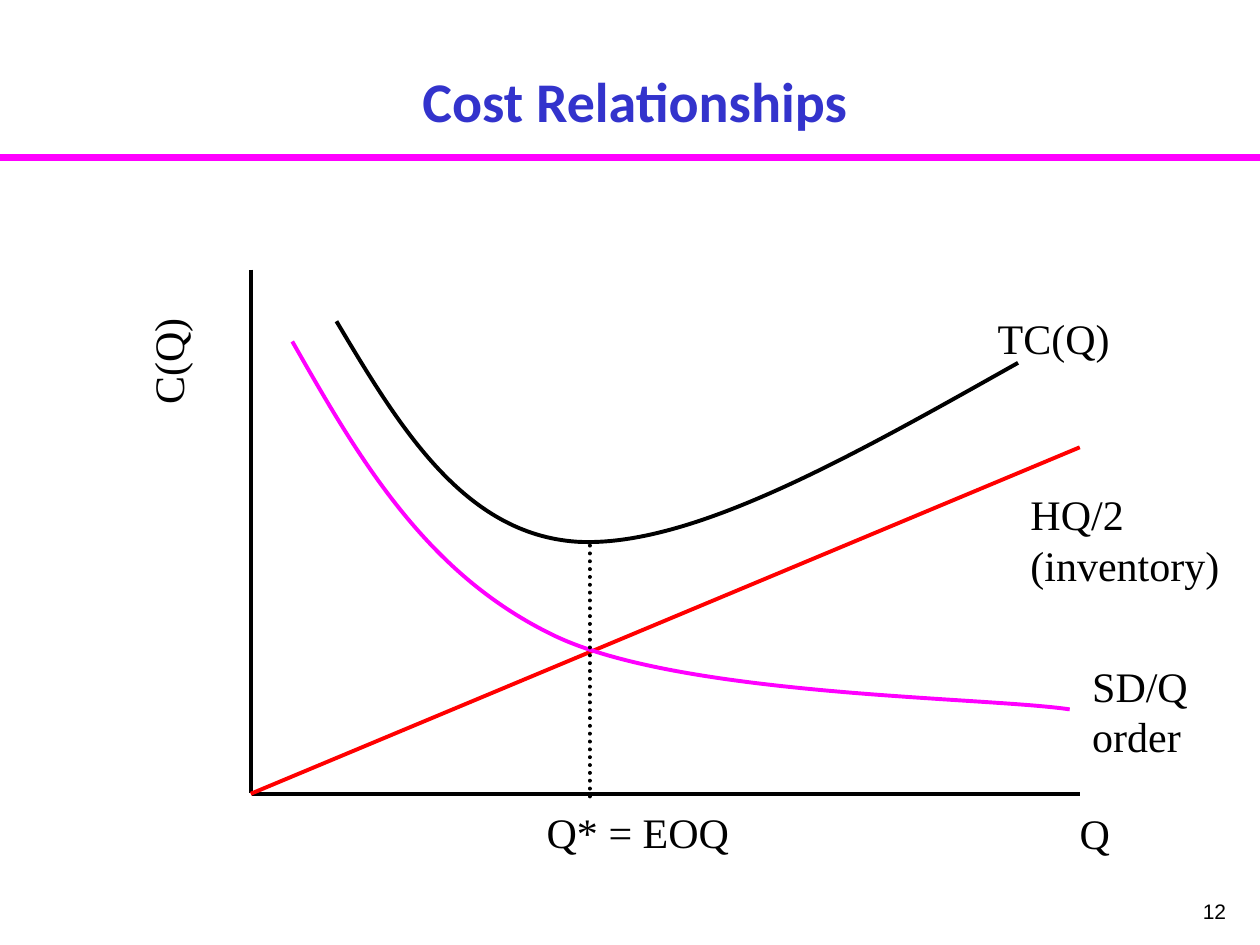
from lxml import etree
from pptx import Presentation
from pptx.dml.color import RGBColor
from pptx.enum.dml import MSO_LINE
from pptx.enum.shapes import MSO_CONNECTOR
from pptx.enum.text import MSO_ANCHOR, MSO_AUTO_SIZE, PP_ALIGN
from pptx.oxml.ns import qn
from pptx.util import Pt

PX = 9144
STRAIGHT = MSO_CONNECTOR.STRAIGHT
DOTTED = MSO_LINE.ROUND_DOT
FIT_SHAPE, FIXED = MSO_AUTO_SIZE.SHAPE_TO_FIT_TEXT, MSO_AUTO_SIZE.NONE
LEFT, CENTER, RIGHT = PP_ALIGN.LEFT, PP_ALIGN.CENTER, PP_ALIGN.RIGHT
TOP, MIDDLE = MSO_ANCHOR.TOP, MSO_ANCHOR.MIDDLE

COLORS = {
    "ink": "000000",
    "title": "3333CC",
    "order": "FF00FF",
    "inventory": "FF0000",
}
LABEL = {"name": "Times New Roman", "size": Pt(24), "bold": False}
TITLE = {"name": "Calibri", "size": Pt(32), "bold": True}
NUMBER = {"name": "Arial", "size": Pt(12), "bold": False}

ORDER_CURVE = [(232, 271), (285, 364), (338, 456), (441, 505),
               (543, 553), (781, 553), (849, 563)]
TOTAL_CURVE = [(267, 255), (317, 339), (368, 424), (458, 430),
               (549, 435), (678, 361), (808, 288)]


def color(name):
    return RGBColor.from_string(COLORS[name])


def style_line(line, name, width):
    line.color.rgb = color(name)
    line.width = Pt(width)


def add_line(s, start, end, name="ink", width=2.25, dotted=False):
    ends = [v * PX for v in (*start, *end)]
    c = s.shapes.add_connector(STRAIGHT, *ends)
    style_line(c.line, name, width)
    if dotted:
        c.line.dash_style = DOTTED
        c._element.spPr.find(qn("a:ln")).set("cap", "rnd")
    etree.SubElement(c._element.spPr, qn("a:effectLst"))


def add_curve(s, points, name):
    fb = s.shapes.build_freeform(*points[0], scale=PX)
    fb.add_line_segments(points[1:], close=False)
    sp = fb.convert_to_shape()
    outline = sp._element.spPr.find(".//" + qn("a:path"))
    steps = outline.findall(qn("a:lnTo"))
    for i in range(0, len(steps), 3):
        bezier = etree.SubElement(outline, qn("a:cubicBezTo"))
        for step in steps[i:i + 3]:
            bezier.append(step[0])
            outline.remove(step)
    sp.shadow.inherit = False
    sp.fill.background()
    style_line(sp.line, name, 2.25)


def add_text(s, box, lines, font=LABEL, name="ink", align=LEFT, anchor=TOP,
             wrap=False, spacing=None, rotation=0):
    sp = s.shapes.add_textbox(*(v * PX for v in box))
    sp.rotation = rotation
    tf = sp.text_frame
    tf.word_wrap = wrap
    tf.auto_size = FIXED if wrap else FIT_SHAPE
    tf.vertical_anchor = anchor
    for i, text in enumerate(lines):
        p = tf.add_paragraph() if i else tf.paragraphs[0]
        p.alignment = align
        if spacing:
            p.line_spacing = spacing
        r = p.add_run()
        r.text = text
        for attr, value in font.items():
            setattr(r.font, attr, value)
        r.font.color.rgb = color(name)


def add_heading(s):
    add_line(s, (0, 125), (1000, 125), "order", 4)
    add_text(s, (775, 708, 208, 42), ["12"], NUMBER, align=RIGHT, wrap=True)
    add_text(s, (42, 42, 924, 75), ["Cost Relationships"], TITLE, "title",
             CENTER, MIDDLE, True)


def add_cost_graph(s):
    add_line(s, (199, 214), (199, 629))
    add_line(s, (200, 630), (857, 630))
    add_line(s, (199, 630), (857, 355), "inventory")
    add_curve(s, ORDER_CURVE, "order")
    add_curve(s, TOTAL_CURVE, "ink")
    add_line(s, (468, 433), (468, 633), dotted=True)


def add_labels(s):
    add_text(s, (88, 261, 90, 50), ["C(Q)"], spacing=Pt(28.8), rotation=270)
    labels = [
        ((847, 636, 44, 50), ["Q"]),
        ((782, 243, 109, 50), ["TC(Q)"]),
        ((808, 383, 170, 90), ["HQ/2", "(inventory)"]),
        ((857, 519, 96, 90), ["SD/Q", "order"]),
        ((424, 635, 165, 50), ["Q* = EOQ"]),
    ]
    for box, lines in labels:
        add_text(s, box, lines, spacing=Pt(28.8))


def main():
    prs = Presentation()
    prs.slide_width, prs.slide_height = 1000 * PX, 750 * PX
    s = prs.slides.add_slide(prs.slide_layouts[6])
    add_heading(s)
    add_cost_graph(s)
    add_labels(s)
    prs.save("out.pptx")


if __name__ == "__main__":
    main()
